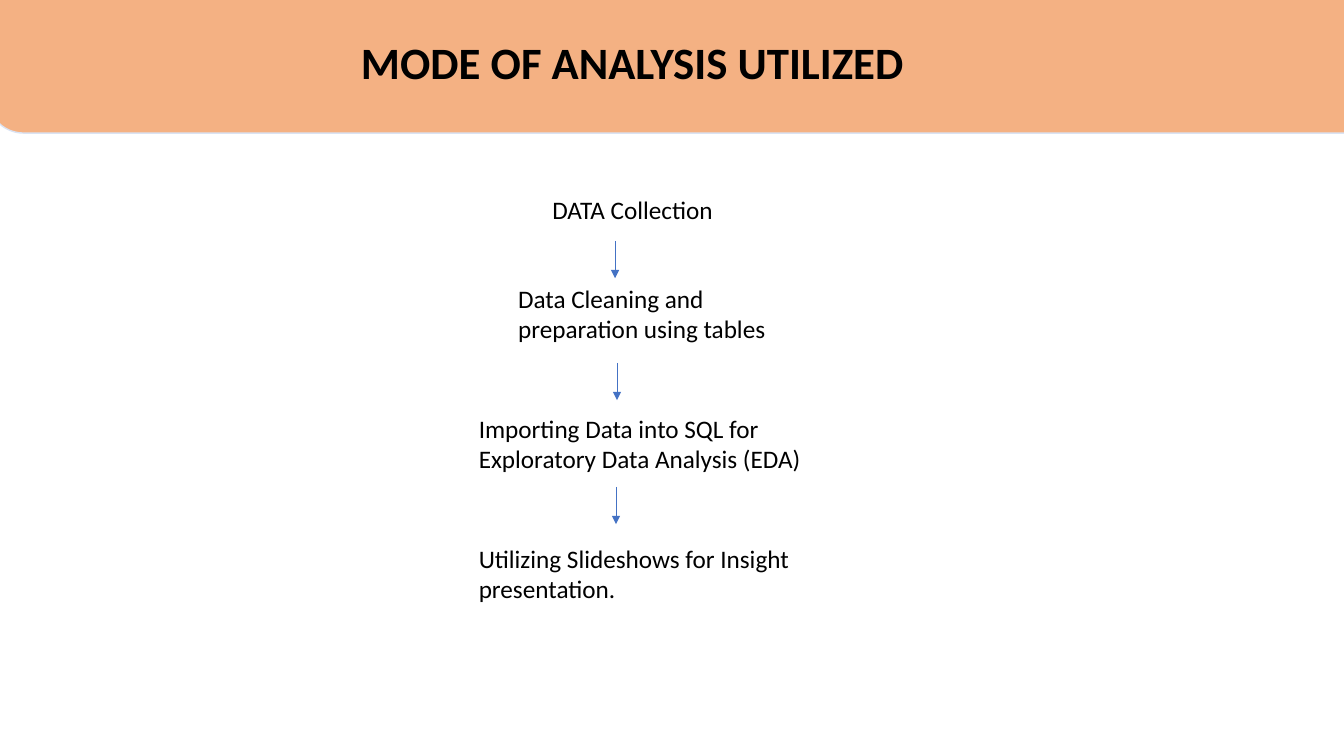
from lxml import etree
from pptx import Presentation
from pptx.dml.color import RGBColor
from pptx.enum.shapes import MSO_CONNECTOR, MSO_SHAPE
from pptx.enum.text import MSO_ANCHOR, MSO_AUTO_SIZE, PP_ALIGN
from pptx.oxml.ns import qn
from pptx.util import Pt

STRAIGHT = MSO_CONNECTOR.STRAIGHT
ROUNDED = MSO_SHAPE.ROUNDED_RECTANGLE
TOP = MSO_ANCHOR.TOP
FIT_SHAPE = MSO_AUTO_SIZE.SHAPE_TO_FIT_TEXT
LEFT = PP_ALIGN.LEFT

EMU_PER_PX = 9144  # 100 px to the inch
TITLE_ONLY = 5
FONT = "Calibri"
BLACK, PEACH, PALE_BLUE, BLUE = "000000", "F4B183", "DAE3F3", "4472C4"

# Offsets inside the flow box: left, top, width, height, wording
STEPS = [
    (73, 0, 197, 40, "DATA Collection"),
    (39, 88, 265, 71, "Data Cleaning and preparation using tables"),
    (0, 217, 371, 71, "Importing Data into SQL for Exploratory Data Analysis (EDA)"),
    (0, 346, 355, 71, "Utilizing Slideshows for Insight presentation."),
]
# Offsets inside the flow box: x, top
ARROWS = [(145, 51), (147, 172), (146, 295)]
ARROW_LENGTH = 37


def px(*lengths):
    return [length * EMU_PER_PX for length in lengths]


def colour(hex_string):
    return RGBColor.from_string(hex_string)


def write(shape, wording, size, bold=False):
    frame = shape.text_frame
    frame.text = wording
    frame.word_wrap = True
    frame.auto_size = FIT_SHAPE
    frame.vertical_anchor = TOP
    paragraph = frame.paragraphs[0]
    paragraph.alignment = LEFT
    paragraph.line_spacing = 1.0
    font = paragraph.runs[0].font
    font.name, font.size, font.bold = FONT, Pt(size), bold
    font.color.rgb = colour(BLACK)


def add_header(slide, left, top, width, height):
    # Band, placed behind the title
    band = slide.shapes.add_shape(ROUNDED, *px(left, top, width, height))
    band.shadow.inherit = False
    band.fill.solid()
    band.fill.fore_color.rgb = colour(PEACH)
    band.line.color.rgb = colour(PALE_BLUE)
    band.line.width = Pt(1)
    slide.shapes.title.element.addprevious(band.element)

    # Title
    title = slide.shapes.title
    title.left, title.top, title.width, title.height = px(
        left + 360, top + 109, 694, 64)
    write(title, "MODE OF ANALYSIS UTILIZED", 32, bold=True)


def add_arrow(slide, x, top):
    arrow = slide.shapes.add_connector(
        STRAIGHT, *px(x, top, x, top + ARROW_LENGTH))
    arrow.line.color.rgb = colour(BLUE)
    arrow.line.width = Pt(0.5)
    properties = arrow.element.spPr
    etree.SubElement(properties.find(qn("a:ln")), qn("a:tailEnd"), type="triangle")
    etree.SubElement(properties, qn("a:effectLst"))


def add_flow(slide, left, top):
    # Steps
    for x, y, width, height, wording in STEPS:
        step = slide.shapes.add_textbox(*px(left + x, top + y, width, height))
        write(step, wording, 18)
    # Arrows between the steps
    for x, y in ARROWS:
        add_arrow(slide, left + x, top + y)


def main():
    deck = Presentation()
    deck.slide_width, deck.slide_height = px(1333, 750)
    slide = deck.slides.add_slide(deck.slide_layouts[TITLE_ONLY])
    add_header(slide, -12, -80, 1389, 212)
    add_flow(slide, 465, 188)
    deck.save("out.pptx")


if __name__ == "__main__":
    main()
